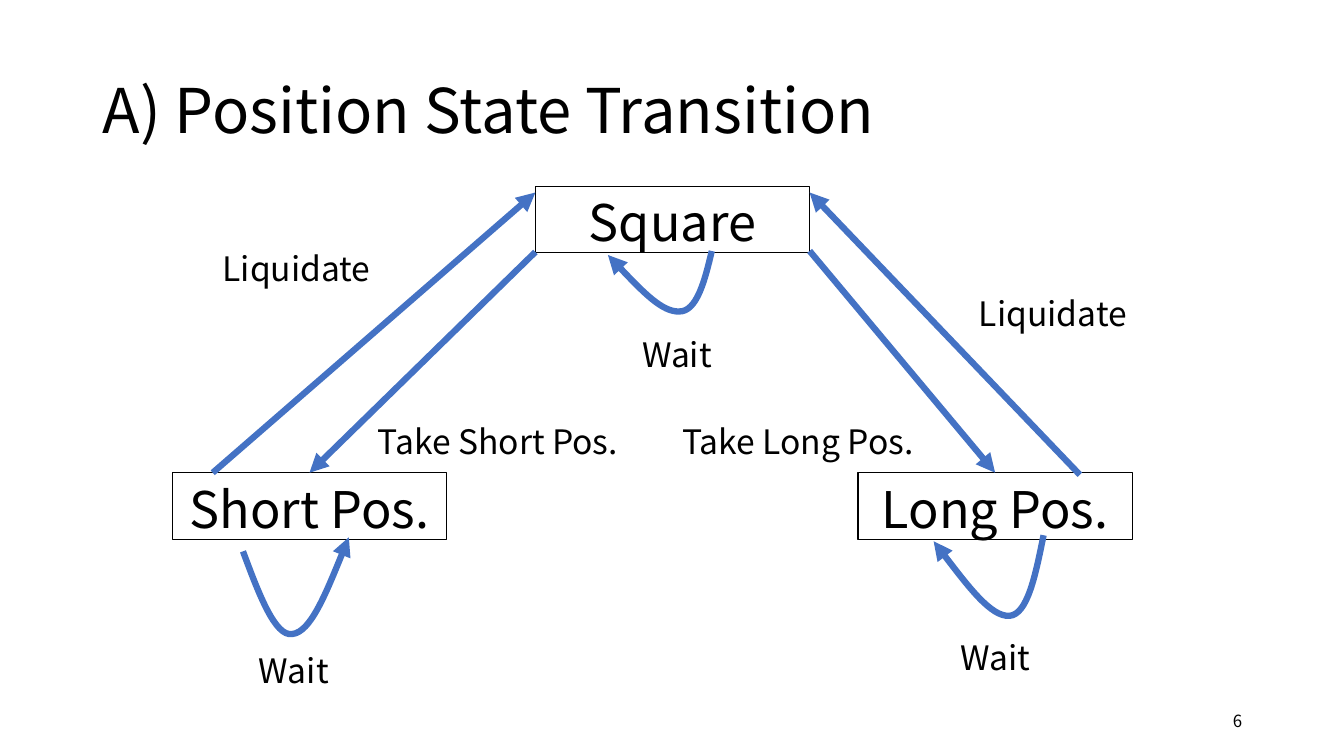
from dataclasses import dataclass

from lxml import etree
from pptx import Presentation
from pptx.dml.color import RGBColor
from pptx.enum.shapes import MSO_CONNECTOR, MSO_SHAPE
from pptx.enum.text import MSO_ANCHOR, MSO_AUTO_SIZE, PP_ALIGN
from pptx.oxml.ns import qn
from pptx.util import Inches, Pt

RECTANGLE = MSO_SHAPE.RECTANGLE
STRAIGHT = MSO_CONNECTOR.STRAIGHT
TOP, MIDDLE = MSO_ANCHOR.TOP, MSO_ANCHOR.MIDDLE
LEFT, CENTER, RIGHT = PP_ALIGN.LEFT, PP_ALIGN.CENTER, PP_ALIGN.RIGHT
NO_AUTOSIZE = MSO_AUTO_SIZE.NONE

BLACK = RGBColor(0x00, 0x00, 0x00)
BLUE = RGBColor(0x44, 0x72, 0xC4)
FONT = "Noto Sans CJK JP"
STATE_WIDTH, STATE_HEIGHT = 2.72, 0.66
UNITS_PER_INCH = 1000

Point = tuple[float, float]


@dataclass(frozen=True)
class State:
    name: str
    left: float
    top: float


@dataclass(frozen=True)
class Label:
    text: str
    left: float
    top: float
    width: float
    height: float


@dataclass(frozen=True)
class Transition:
    start: Point
    end: Point


@dataclass(frozen=True)
class WaitLoop:
    """Two joined cubic curves: a start and three points for each curve."""
    start: Point
    points: tuple[Point, ...]


STATES = [
    State("Square", 5.31, 1.85),
    State("Long Pos.", 8.51, 4.69),
    State("Short Pos.", 1.71, 4.69),
]
WAIT_LOOPS = [
    WaitLoop((7.06, 2.49), ((6.99, 2.79), (6.91, 3.09), (6.74, 3.09),
                            (6.57, 3.1), (6.3, 2.82), (6.03, 2.53))),
    WaitLoop((2.41, 5.47), ((2.57, 5.9), (2.73, 6.32), (2.9, 6.29),
                            (3.08, 6.27), (3.27, 5.8), (3.46, 5.33))),
    WaitLoop((10.35, 5.31), ((10.27, 5.71), (10.19, 6.1), (10.01, 6.11),
                             (9.83, 6.12), (9.54, 5.74), (9.26, 5.37))),
]
TRANSITIONS = [
    Transition((2.11, 4.69), (5.31, 1.91)),
    Transition((8.03, 2.49), (9.87, 4.69)),
    Transition((5.31, 2.5), (3.07, 4.69)),
    Transition((10.71, 4.71), (8.03, 1.91)),
]
LABELS = [
    Label("Wait", 6.27, 3.26, 1.15, 0.41),
    Label("Wait", 2.47, 6.4, 1.21, 0.41),
    Label("Wait", 9.43, 6.27, 1.21, 0.41),
    Label("Liquidate", 2.11, 2.41, 1.83, 0.56),
    Label("Liquidate", 9.61, 2.86, 2.01, 0.47),
    Label("Take Short Pos.", 3.65, 4.13, 3.2, 0.56),
    Label("Take Long Pos.", 6.67, 4.13, 2.91, 0.56),
]


def write(shape, text: str, *, size: int, align=LEFT, anchor=TOP,
          spacing: float = 1.0) -> None:
    frame = shape.text_frame
    frame.word_wrap = True
    frame.auto_size = NO_AUTOSIZE
    frame.vertical_anchor = anchor
    paragraph = frame.paragraphs[0]
    paragraph.alignment = align
    paragraph.line_spacing = spacing
    run = paragraph.add_run()
    run.text = text
    run.font.name = FONT
    run.font.size = Pt(size)
    run.font.color.rgb = BLACK


def style_arrow(shape) -> None:
    shape.line.color.rgb = BLUE
    shape.line.width = Pt(4.5)
    outline = shape.line._get_or_add_ln()
    etree.SubElement(outline, qn("a:tailEnd"), type="triangle")


def add_text(slide, label: Label, **text_format) -> None:
    box = slide.shapes.add_textbox(Inches(label.left), Inches(label.top),
                                   Inches(label.width), Inches(label.height))
    write(box, label.text, **text_format)


def add_state(slide, state: State) -> None:
    box = slide.shapes.add_shape(RECTANGLE, Inches(state.left), Inches(state.top),
                                 Inches(STATE_WIDTH), Inches(STATE_HEIGHT))
    box.shadow.inherit = False
    box.fill.background()
    box.line.color.rgb = BLACK
    box.line.width = Pt(0.75)
    write(box, state.name, size=36, align=CENTER)


def add_transition(slide, transition: Transition) -> None:
    ends = [Inches(v) for v in transition.start + transition.end]
    arrow = slide.shapes.add_connector(STRAIGHT, *ends)
    style_arrow(arrow)
    etree.SubElement(arrow._element.spPr, qn("a:effectLst"))


def add_wait_loop(slide, loop: WaitLoop) -> None:
    start, *points = [(round(x * UNITS_PER_INCH), round(y * UNITS_PER_INCH))
                      for x, y in (loop.start, *loop.points)]
    builder = slide.shapes.build_freeform(*start, scale=Inches(1) / UNITS_PER_INCH)
    builder.add_line_segments(points, close=False)
    curve = builder.convert_to_shape()
    curve.shadow.inherit = False
    curve.fill.background()
    style_arrow(curve)

    # Every three segments become one cubic curve
    segments = list(curve._element.iter(qn("a:lnTo")))
    for first in range(0, len(segments), 3):
        cubic = etree.Element(qn("a:cubicBezTo"))
        segments[first].addprevious(cubic)
        for segment in segments[first:first + 3]:
            cubic.append(segment[0])
            segment.getparent().remove(segment)


def main() -> None:
    presentation = Presentation()
    presentation.slide_width = Inches(13.33)
    presentation.slide_height = Inches(7.5)
    slide = presentation.slides.add_slide(presentation.slide_layouts[5])

    # Title and page number
    title = slide.shapes.title
    title.left, title.top = Inches(0.92), Inches(0.4)
    title.width, title.height = Inches(11.5), Inches(1.45)
    write(title, "A) Position State Transition", size=44, anchor=MIDDLE, spacing=0.9)
    add_text(slide, Label("6", 9.42, 6.95, 3, 0.4), size=12, align=RIGHT, anchor=MIDDLE)

    # State diagram
    for state in STATES:
        add_state(slide, state)
    for loop in WAIT_LOOPS:
        add_wait_loop(slide, loop)
    for transition in TRANSITIONS:
        add_transition(slide, transition)
    for label in LABELS:
        add_text(slide, label, size=24)

    presentation.save("out.pptx")


if __name__ == "__main__":
    main()
